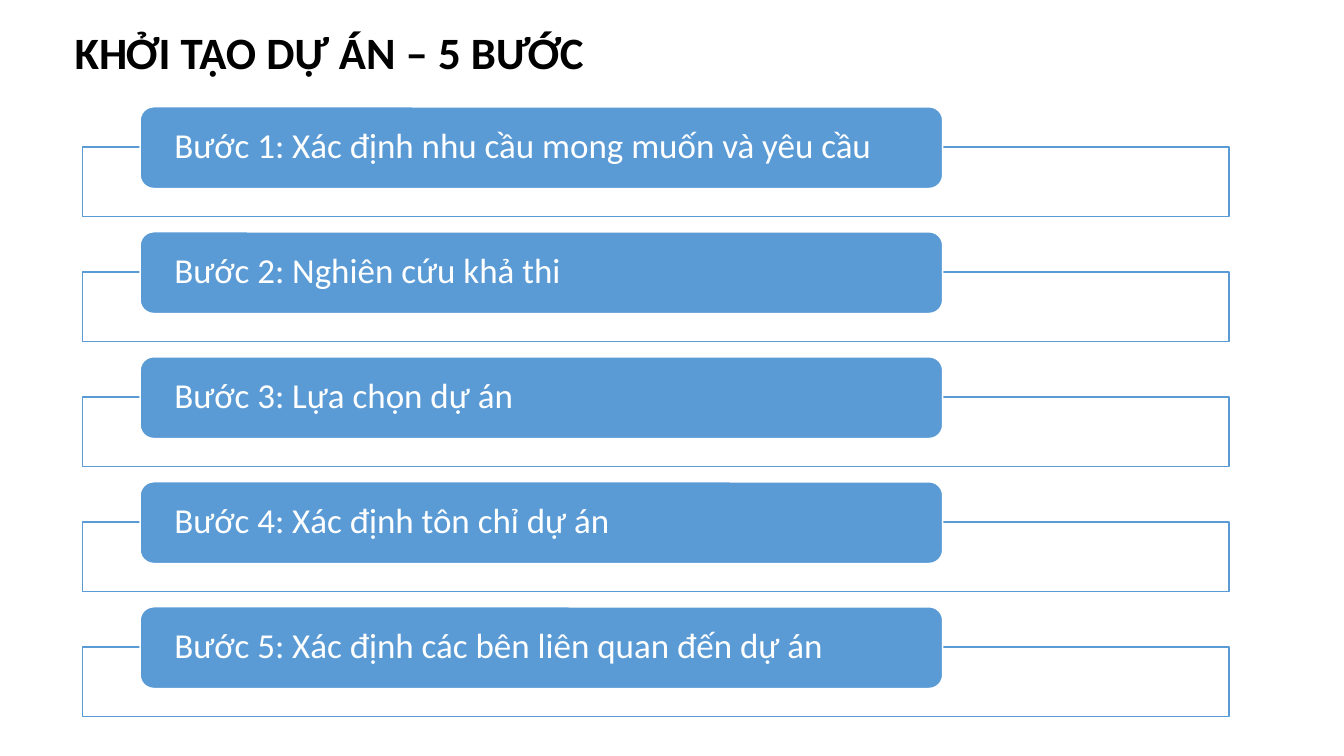
from pptx import Presentation
from pptx.dml.color import RGBColor
from pptx.enum.shapes import MSO_SHAPE as Shape
from pptx.enum.text import MSO_ANCHOR as Anchor, MSO_AUTO_SIZE as AutoSize, PP_ALIGN as Align
from pptx.util import Inches, Pt

TITLE = "KHỞI TẠO DỰ ÁN – 5 BƯỚC"
STEPS = [
    "Xác định nhu cầu mong muốn và yêu cầu",
    "Nghiên cứu khả thi",
    "Lựa chọn dự án",
    "Xác định tôn chỉ dự án",
    "Xác định các bên liên quan đến dự án",
]
COLORS = {"blue": "5B9BD5", "white": "FFFFFF", "black": "000000"}
FONT = "Calibri"

FIRST_TOP, STEP_PITCH = 1.06, 1.24
LABEL_LEFT, LABEL_WIDTH, LABEL_HEIGHT = 1.39, 7.96, 0.81
FRAME_LEFT, FRAME_WIDTH, FRAME_HEIGHT = 0.82, 11.37, 0.69
FRAME_DROP = 0.4


def color(name):
    return RGBColor.from_string(COLORS[name])


def write_text(shape, text, size, color_name, bold=False, inset=0.1, anchor=Anchor.MIDDLE,
               line_spacing=1.0):
    frame = shape.text_frame
    frame.word_wrap = True
    frame.auto_size = AutoSize.NONE
    frame.vertical_anchor = anchor
    frame.margin_left = frame.margin_right = Inches(inset)
    frame.margin_top = frame.margin_bottom = Inches(0.05)
    paragraph = frame.paragraphs[0]
    paragraph.alignment = Align.LEFT
    paragraph.line_spacing = line_spacing
    run = paragraph.add_run()
    run.text = text
    run.font.name = FONT
    run.font.size = Pt(size)
    run.font.bold = bold
    run.font.color.rgb = color(color_name)


def add_box(slide, kind, left, top, width, height, fill, line):
    shape = slide.shapes.add_shape(kind, Inches(left), Inches(top), Inches(width), Inches(height))
    shape.shadow.inherit = False
    shape.fill.solid()
    shape.fill.fore_color.rgb = color(fill)
    shape.line.color.rgb = color(line)
    shape.line.width = Pt(1)
    return shape


def add_step(slide, number, text):
    top = FIRST_TOP + (number - 1) * STEP_PITCH
    add_box(slide, Shape.RECTANGLE, FRAME_LEFT, top + FRAME_DROP, FRAME_WIDTH, FRAME_HEIGHT,
            fill="white", line="blue")
    label = add_box(slide, Shape.ROUNDED_RECTANGLE, LABEL_LEFT, top, LABEL_WIDTH, LABEL_HEIGHT,
                    fill="blue", line="white")
    write_text(label, f"Bước {number}: {text}", 25, "white", inset=0.3, line_spacing=0.9)


def main():
    presentation = Presentation()
    presentation.slide_width = Inches(13.33)
    presentation.slide_height = Inches(7.5)
    slide = presentation.slides.add_slide(presentation.slide_layouts[5])

    title = slide.shapes.title
    title.left, title.top = Inches(0.64), Inches(0.19)
    title.width, title.height = Inches(7.56), Inches(0.64)
    write_text(title, TITLE, 32, "black", bold=True, anchor=Anchor.TOP)

    for number, text in enumerate(STEPS, start=1):
        add_step(slide, number, text)
    presentation.save("out.pptx")


if __name__ == "__main__":
    main()
